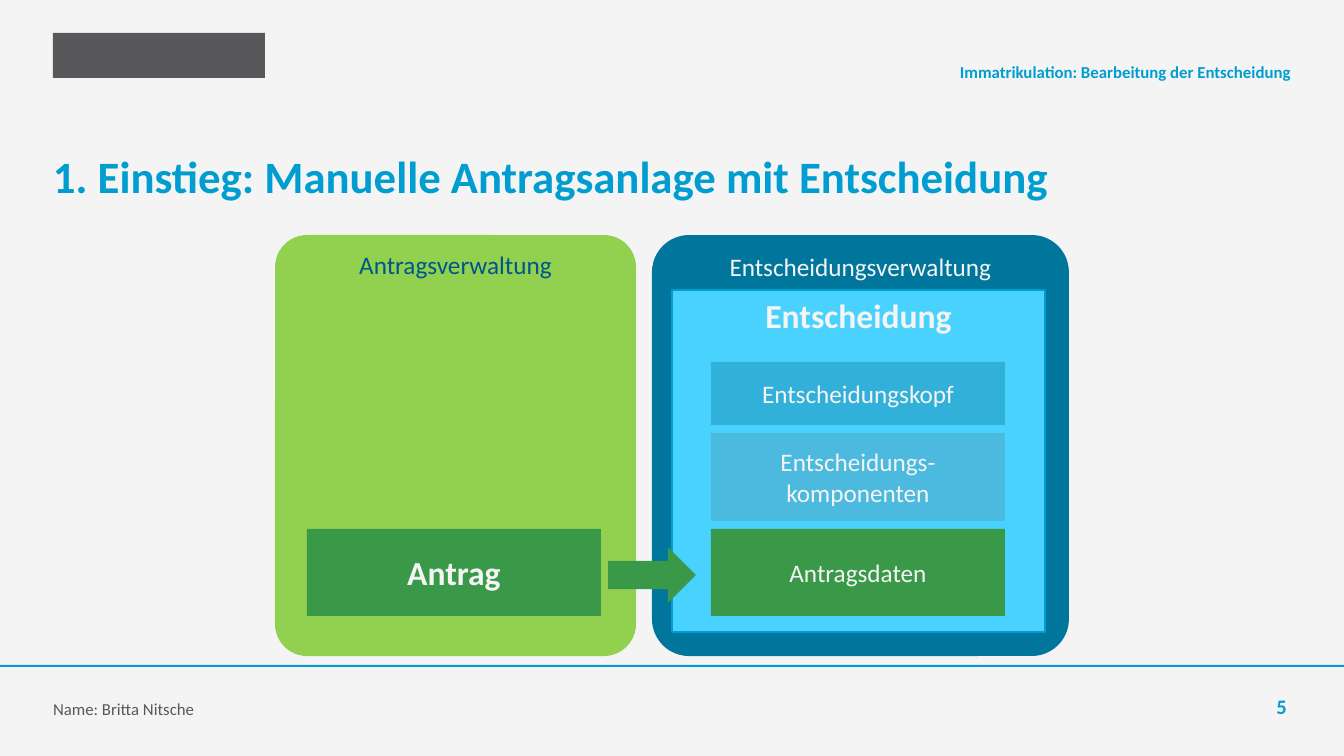
from pptx import Presentation
from pptx.dml.color import RGBColor
from pptx.enum.shapes import MSO_SHAPE
from pptx.enum.text import MSO_ANCHOR, PP_ALIGN
from pptx.util import Emu, Pt

RECT = MSO_SHAPE.RECTANGLE
ROUNDED = MSO_SHAPE.ROUNDED_RECTANGLE
ARROW = MSO_SHAPE.RIGHT_ARROW
TOP, MIDDLE, BOTTOM = MSO_ANCHOR.TOP, MSO_ANCHOR.MIDDLE, MSO_ANCHOR.BOTTOM
LEFT, CENTER, RIGHT = PP_ALIGN.LEFT, PP_ALIGN.CENTER, PP_ALIGN.RIGHT

PAPER = RGBColor(0xF4, 0xF4, 0xF4)
GREY = RGBColor(0x58, 0x58, 0x5A)
CYAN = RGBColor(0x00, 0x9D, 0xD1)
NAVY = RGBColor(0x00, 0x56, 0x8A)
LIME = RGBColor(0x92, 0xD0, 0x50)
GREEN = RGBColor(0x39, 0x99, 0x49)
PETROL = RGBColor(0x00, 0x76, 0x9D)
SKY = RGBColor(0x4A, 0xD2, 0xFF)
HEAD_BLUE = RGBColor(0x31, 0xB0, 0xDA)
PART_BLUE = RGBColor(0x4C, 0xBA, 0xDF)

FONT = "Calibri"
PX_PER_INCH = 100.8
CORNER = 0.089


def px(length):
    return Emu(round(length * 914400 / PX_PER_INCH))


def place(area):
    return [px(length) for length in area]


def write(frame, text, size, color, bold, align, anchor):
    frame.word_wrap = True
    frame.vertical_anchor = anchor
    para = frame.paragraphs[0]
    para.alignment = align
    span = para.add_run()
    span.text = text
    span.font.name = FONT
    span.font.size = Pt(size)
    span.font.bold = bold
    span.font.color.rgb = color


def add_block(page, kind, area, fill):
    block = page.shapes.add_shape(kind, *place(area))
    block.shadow.inherit = False
    block.fill.solid()
    block.fill.fore_color.rgb = fill
    block.line.fill.background()
    return block


def add_container(page, kind, area, fill, text, size=18, color=PAPER, bold=False):
    container = add_block(page, kind, area, fill)
    if kind == ROUNDED:
        container.adjustments[0] = CORNER
    write(container.text_frame, text, size, color, bold, CENTER, TOP)
    return container


def add_part(page, area, fill, text, size=18, bold=False):
    part = add_block(page, RECT, area, fill)
    write(part.text_frame, text, size, PAPER, bold, CENTER, MIDDLE)


def add_label(page, area, text, size, color=CYAN, bold=True, align=LEFT, anchor=BOTTOM):
    box = page.shapes.add_textbox(*place(area))
    frame = box.text_frame
    frame.margin_left = frame.margin_right = 0
    frame.margin_top = frame.margin_bottom = 0
    write(frame, text, size, color, bold, align, anchor)


def main():
    deck = Presentation()
    deck.slide_width, deck.slide_height = px(1344), px(756)
    page = deck.slides.add_slide(deck.slide_layouts[6])
    page.background.fill.solid()
    page.background.fill.fore_color.rgb = PAPER

    # Header: plain emblem bar, topic and title
    add_block(page, RECT, (53, 33, 212, 45), GREY)
    add_label(page, (529, 43, 762, 39), "Immatrikulation: Bearbeitung der Entscheidung",
              12, align=RIGHT)
    add_label(page, (53, 149, 1238, 63),
              "1. Einstieg: Manuelle Antragsanlage mit Entscheidung", 32, anchor=TOP)

    # Footer
    add_block(page, RECT, (0, 665, 1344, 2), CYAN)
    add_label(page, (53, 680, 762, 39), "Name: Britta Nitsche", 12, GREY, bold=False)
    add_label(page, (1185, 680, 102, 39), "5", 14.7, align=RIGHT)

    # Containers
    add_container(page, ROUNDED, (275, 235, 361, 421), LIME, "Antragsverwaltung", color=NAVY)
    add_container(page, ROUNDED, (652, 235, 417, 421), PETROL, "Entscheidungsverwaltung")
    decision = add_container(page, RECT, (672, 290, 373, 342), SKY, "Entscheidung",
                             size=24, bold=True)
    decision.line.color.rgb = CYAN
    decision.line.width = Pt(1)

    # Application and its transfer into the decision
    add_part(page, (307, 529, 294, 87), GREEN, "Antrag", size=24, bold=True)
    add_block(page, ARROW, (608, 547, 88, 56), GREEN)

    # Parts of the decision, stacked with equal gaps
    top, gap = 362, 8
    for height, fill, text in (
        (63, HEAD_BLUE, "Entscheidungskopf"),
        (88, PART_BLUE, "Entscheidungs-komponenten"),
        (87, GREEN, "Antragsdaten"),
    ):
        add_part(page, (711, top, 294, height), fill, text)
        top += height + gap

    deck.save("out.pptx")


if __name__ == "__main__":
    main()
